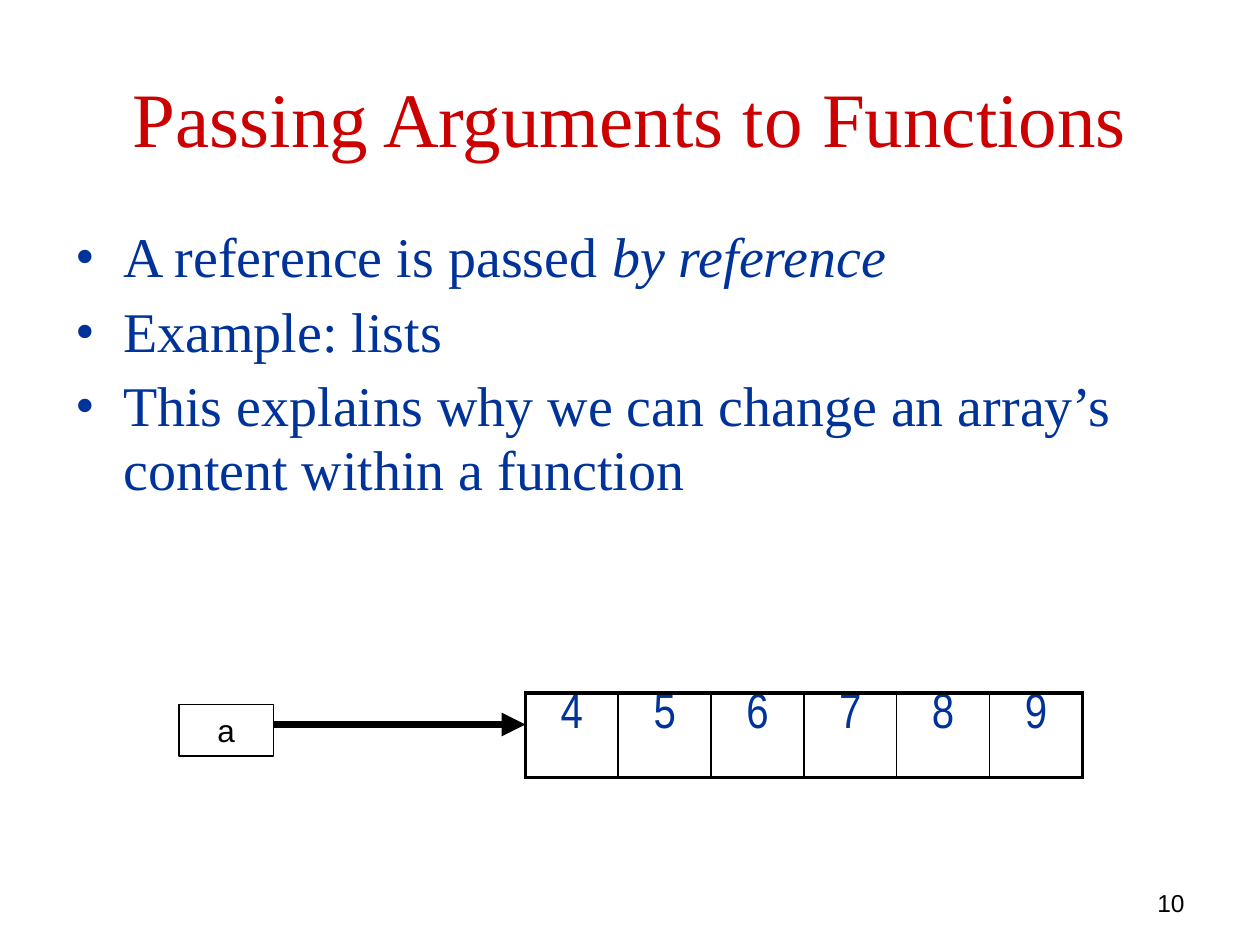
from pptx import Presentation
from pptx.dml.color import RGBColor
from pptx.enum.shapes import MSO_CONNECTOR, MSO_SHAPE
from pptx.enum.text import MSO_ANCHOR, PP_ALIGN
from pptx.oxml.ns import qn
from pptx.util import Inches, Pt
from lxml import etree

LINE, RECT = MSO_CONNECTOR.STRAIGHT, MSO_SHAPE.RECTANGLE
MID, TOP = MSO_ANCHOR.MIDDLE, MSO_ANCHOR.TOP
LEFT, MIDDLE, RIGHT = PP_ALIGN.LEFT, PP_ALIGN.CENTER, PP_ALIGN.RIGHT
COLORS = {"title": "CC0000", "text": "003399", "ink": "000000", "paper": "FFFFFF"}
FONTS = {
    "title": {"name": "Times New Roman", "size": Pt(44)},
    "body": {"name": "Times New Roman", "size": Pt(32)},
    "cell": {"name": "Arial Narrow", "size": Pt(28)},
    "label": {"name": "Arial", "size": Pt(18)},
    "number": {"name": "Arial", "size": Pt(14)},
}


def color(key):
    return RGBColor.from_string(COLORS[key])


def apply(item, values):
    for name, value in values.items():
        setattr(item, name, value)


def place(item, box):
    names = ("left", "top", "width", "height")
    apply(item, dict(zip(names, map(Inches, box))))


def write(para, text, font, ink, align, **extra):
    run = para.add_run()
    run.text = text
    para.alignment = align
    apply(run.font, {**FONTS[font], **extra})
    run.font.color.rgb = color(ink)


def add_node(parent, tag, **attrs):
    node = etree.SubElement(parent, qn(tag))
    for name, value in attrs.items():
        node.set(name, str(value))
    return node


def add_title(slide, box):
    title = slide.shapes.title
    place(title, box)
    title.text_frame.vertical_anchor = MID
    write(title.text_frame.paragraphs[0], "Passing Arguments to Functions",
          "title", "title", MIDDLE)


def add_list(slide, box, items):
    frame = slide.shapes.add_textbox(*map(Inches, box)).text_frame
    frame.word_wrap = True
    for i, runs in enumerate(items):
        para = frame.add_paragraph() if i else frame.paragraphs[0]
        apply(para, {"line_spacing": 0.95, "space_before": Pt(6)})
        for text, slant in runs:
            write(para, text, "body", "text", LEFT, italic=slant)
        props = para._p.get_or_add_pPr()
        props.set("marL", str(Inches(0.38)))
        props.set("indent", str(Inches(-0.38)))
        add_node(props, "a:buFont", typeface="Times New Roman")
        add_node(props, "a:buChar", char="•")


def add_edge(cell, side, width):
    edge = add_node(cell._tc.get_or_add_tcPr(), "a:" + side, w=Pt(width))
    fill = add_node(edge, "a:solidFill")
    add_node(fill, "a:srgbClr", val=COLORS["ink"])


def add_array(slide, box, values):
    count = len(values)
    table = slide.shapes.add_table(1, count, *map(Inches, box)).table
    apply(table, {"first_row": False, "horz_banding": False})
    for i, value in enumerate(values):
        table.columns[i].width = Inches(box[2] / count)
        cell = table.cell(0, i)
        apply(cell, {"margin_top": 0, "margin_bottom": 0, "vertical_anchor": TOP})
        write(cell.text_frame.paragraphs[0], value, "cell", "text", MIDDLE)
        edges = {"lnL": 1 if i else 2.25, "lnR": 1 if i < count - 1 else 2.25,
                 "lnT": 2.25, "lnB": 2.25}
        for side, width in edges.items():
            add_edge(cell, side, width)
        cell.fill.background()


def add_name(slide, box, text):
    shape = slide.shapes.add_shape(RECT, *map(Inches, box))
    shape.shadow.inherit = False
    shape.fill.background()
    shape.line.color.rgb = color("ink")
    shape.line.width = Pt(0.75)
    shape.text_frame.vertical_anchor = TOP
    write(shape.text_frame.paragraphs[0], text, "label", "ink", MIDDLE)


def add_arrow(slide, start, end):
    arrow = slide.shapes.add_connector(LINE, *map(Inches, start + end))
    arrow.line.color.rgb = color("ink")
    arrow.line.width = Pt(4.5)
    add_node(arrow.line._get_or_add_ln(), "a:tailEnd", type="triangle")
    add_node(arrow._element.spPr, "a:effectLst")


def add_number(slide, box, text):
    frame = slide.shapes.add_textbox(*map(Inches, box)).text_frame
    frame.word_wrap = True
    write(frame.paragraphs[0], text, "number", "ink", RIGHT)


def main():
    deck = Presentation()
    apply(deck, {"slide_width": Inches(10), "slide_height": Inches(7.5)})
    slide = deck.slides.add_slide(deck.slide_layouts[5])
    slide.background.fill.solid()
    slide.background.fill.fore_color.rgb = color("paper")
    add_number(slide, (7.17, 7, 2.33, 0.25), "10")
    add_title(slide, (0.5, 0.3, 9, 1.25))
    add_list(slide, (0.5, 1.75, 8.75, 2.83), [
        [("A reference is passed ", False), ("by reference", True)],
        [("Example: lists", False)],
        [("This explains why we can change an array’s content within a function",
          False)],
    ])
    add_array(slide, (4.17, 5.5, 4.42, 0.67), "456789")
    add_name(slide, (1.42, 5.59, 0.75, 0.41), "a")
    add_arrow(slide, (2.17, 5.75), (4.17, 5.75))
    deck.save("out.pptx")


if __name__ == "__main__":
    main()
